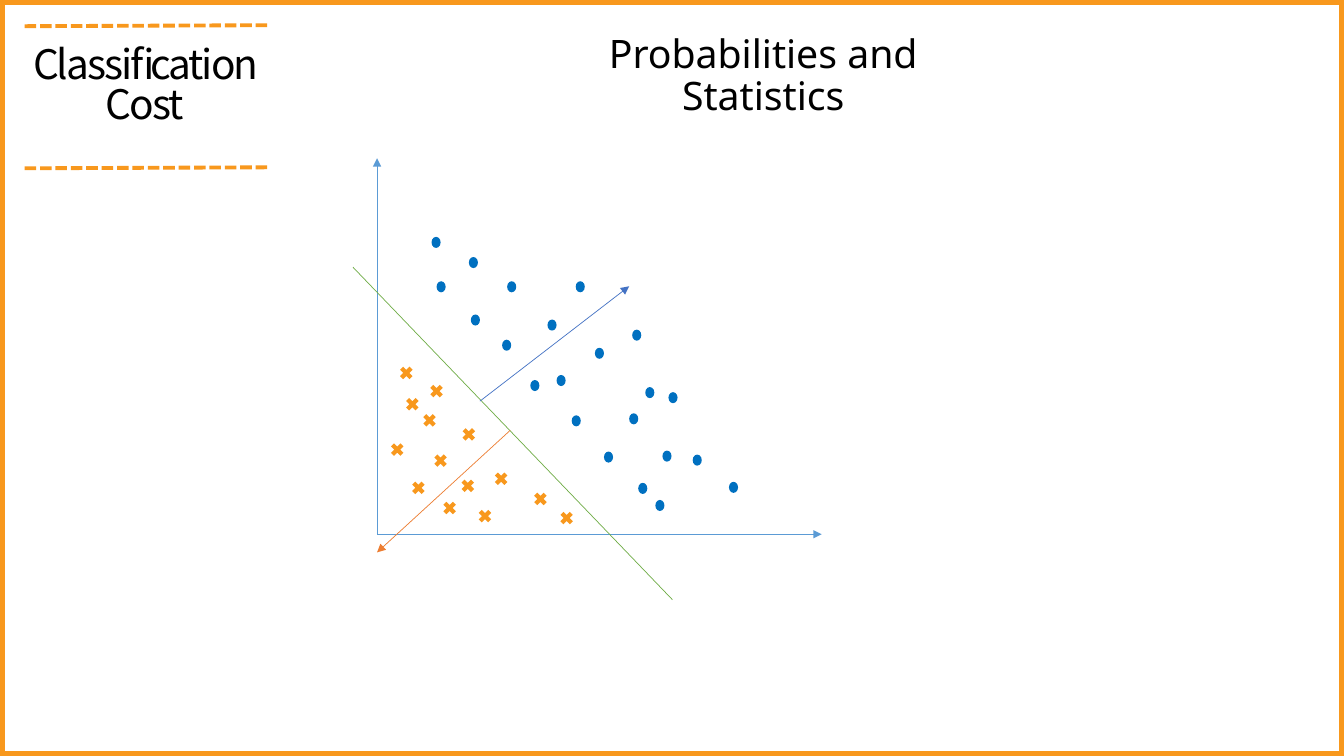
from dataclasses import dataclass

from pptx import Presentation
from pptx.dml.color import RGBColor as RGB
from pptx.enum.dml import MSO_LINE as Dash
from pptx.enum.shapes import MSO_CONNECTOR as Conn, MSO_SHAPE as Geo
from pptx.enum.text import MSO_ANCHOR as Anchor, MSO_AUTO_SIZE as Fit, PP_ALIGN as Align
from pptx.oxml.ns import qn
from pptx.util import Emu, Pt

SCALE = 9144  # EMU in one px, 100 px to the inch


@dataclass(frozen=True)
class Theme:
    ink: str = "000000"
    orange: str = "F8981D"
    dot: str = "0070C0"
    axis: str = "5B9BD5"
    split: str = "70AD47"
    up: str = "4472C4"
    down: str = "ED7D31"
    title: float = 29
    head: float = 28
    frame: float = 3.75
    rule: float = 2.75
    thin: float = 0.5
    title_font: str = "Noto Sans CJK KR"
    head_font: str = "Noto Sans"


THEME = Theme()

CROSSES = [
    (400, 392), (424, 379), (406, 475), (394, 361), (385, 437), (428, 448), (553, 505),
    (527, 486), (417, 408), (437, 495), (456, 422), (455, 473), (472, 503), (488, 466),
]
DOTS = [
    (433, 279), (465, 255), (467, 312), (428, 235), (503, 279), (543, 317), (590, 345),
    (526, 377), (567, 412), (571, 279), (552, 372), (498, 337), (633, 479), (650, 496),
    (599, 448), (624, 410), (627, 327), (640, 384), (657, 447), (663, 389), (687, 451),
    (723, 478),
]


def px(*vals):
    return [Emu(v * SCALE) for v in vals]


def apply(item, form):
    for key, val in form.items():
        setattr(item, key, val)


def add_line(slide, start, end, color, width, dash=None, arrow=False):
    line = slide.shapes.add_connector(Conn.STRAIGHT, *px(*start, *end))
    line.line.color.rgb = RGB.from_string(color)
    apply(line.line, {"width": Pt(width), "dash_style": dash})
    props = line._element.spPr
    if arrow:
        tail = props.find(qn("a:ln")).makeelement(qn("a:tailEnd"), {"type": "triangle"})
        props.find(qn("a:ln")).append(tail)
    props.append(props.makeelement(qn("a:effectLst"), {}))


def add_frame(slide):
    frame = slide.shapes.add_shape(Geo.RECTANGLE, *px(2, 2, 1329, 746))
    frame.shadow.inherit = False
    frame.fill.background()
    frame.line.color.rgb = RGB.from_string(THEME.orange)
    frame.line.width = Pt(THEME.frame)


def add_marks(slide, kind, spots, size, color):
    for spot in spots:
        mark = slide.shapes.add_shape(kind, *px(*spot, *size))
        mark.shadow.inherit = False
        mark.fill.solid()
        mark.fill.fore_color.rgb = RGB.from_string(color)
        mark.line.fill.background()


def set_text(shape, text, box, font, size, gap, anchor, track=0):
    """Place a text shape; gap is the line spacing, track the letter spacing in points."""
    apply(shape, dict(zip(("left", "top", "width", "height"), px(*box))))
    frame = shape.text_frame
    apply(frame, {"word_wrap": True, "auto_size": Fit.NONE, "vertical_anchor": anchor})
    para = frame.paragraphs[0]
    apply(para, {"alignment": Align.CENTER, "line_spacing": gap})
    run = para.add_run()
    run.text = text
    apply(run.font, {"name": font, "size": Pt(size)})
    run.font.color.rgb = RGB.from_string(THEME.ink)
    if track:
        run.font._element.set("spc", str(int(track * 100)))


def main():
    deck = Presentation()
    apply(deck, dict(zip(("slide_width", "slide_height"), px(1333, 750))))
    slide = deck.slides.add_slide(deck.slide_layouts[5])

    add_frame(slide)
    for top in (166, 25):
        add_line(slide, (265, top), (23, top + 1), THEME.orange, THEME.rule, Dash.SQUARE_DOT)
    set_text(slide.shapes.title, "Classification Cost", (15, 31, 257, 111),
             THEME.title_font, THEME.title, 0.83, Anchor.MIDDLE, -1.5)
    head = slide.shapes.add_textbox(*px(534, 29, 446, 57))
    set_text(head, "Probabilities and Statistics", (534, 29, 446, 57),
             THEME.head_font, THEME.head, 0.9, Anchor.TOP)

    origin = (374, 530)
    for end in ((374, 157), (815, 530)):
        add_line(slide, origin, end, THEME.axis, THEME.thin, arrow=True)
    add_line(slide, (350, 265), (667, 595), THEME.split, THEME.thin)
    add_marks(slide, Geo.MATH_MULTIPLY, CROSSES, (18, 18), THEME.orange)
    add_marks(slide, Geo.FLOWCHART_CONNECTOR, DOTS, (9, 11), THEME.dot)
    add_line(slide, (476, 398), (624, 284), THEME.up, THEME.thin, arrow=True)
    add_line(slide, (506, 427), (374, 548), THEME.down, THEME.thin, arrow=True)

    deck.save("out.pptx")


if __name__ == "__main__":
    main()
